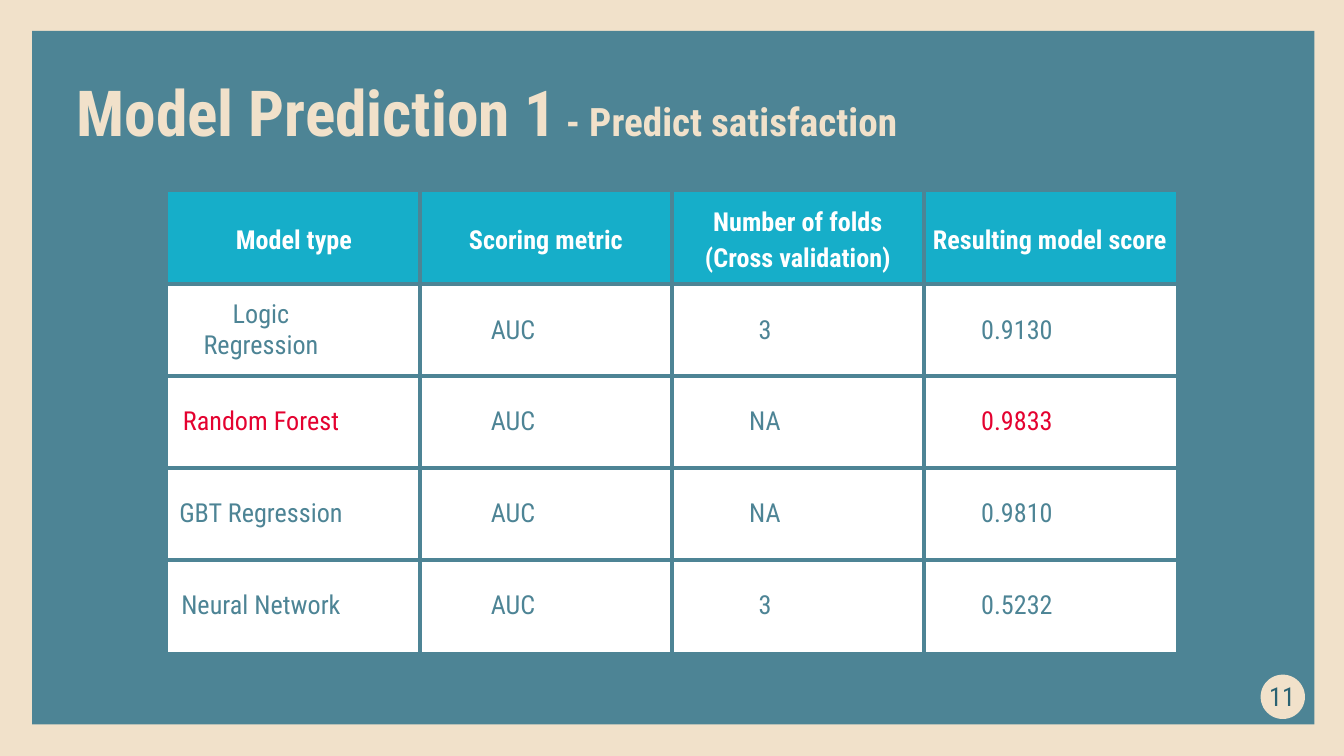
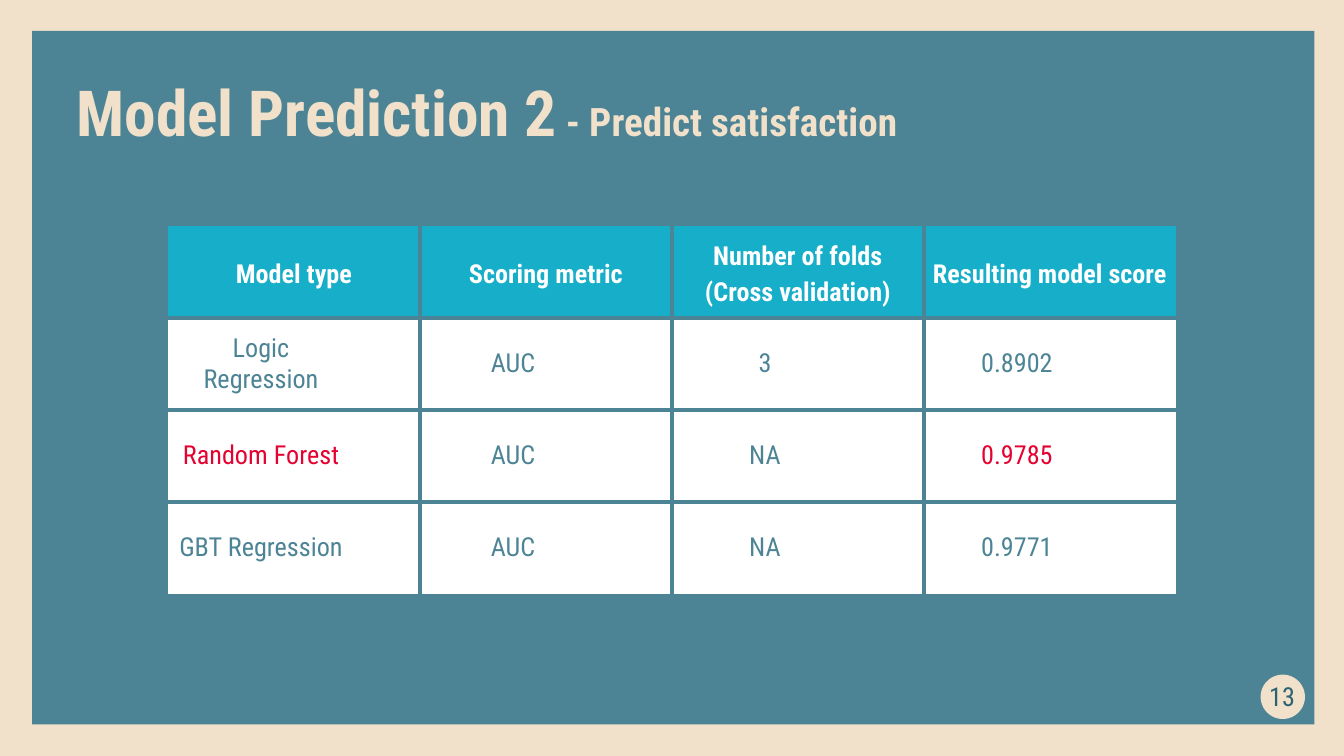
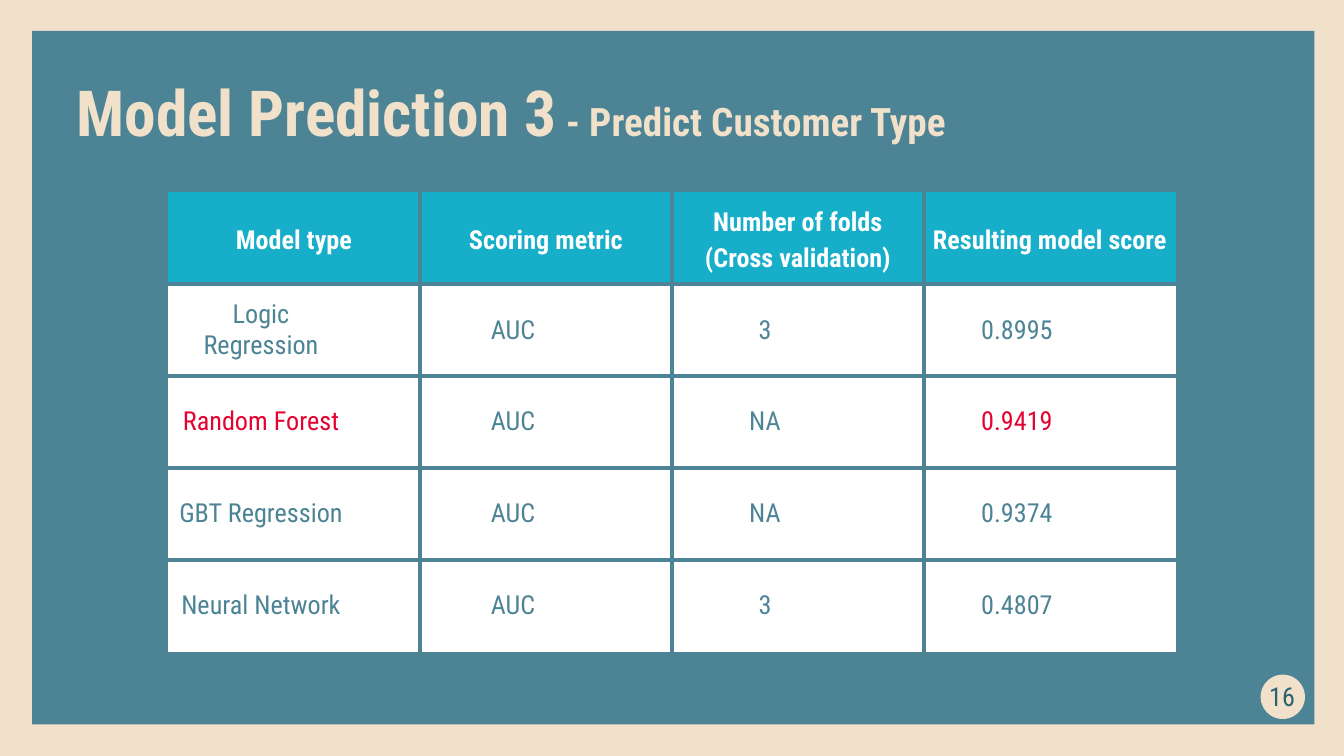
from lxml import etree
from pptx import Presentation
from pptx.dml.color import RGBColor
from pptx.enum.shapes import MSO_SHAPE
from pptx.enum.text import MSO_ANCHOR, MSO_AUTO_SIZE, PP_ALIGN
from pptx.oxml.ns import qn
from pptx.util import Inches, Pt

RECT, OVAL = MSO_SHAPE.RECTANGLE, MSO_SHAPE.OVAL
TOP, MIDDLE = MSO_ANCHOR.TOP, MSO_ANCHOR.MIDDLE
LEFT, CENTER = PP_ALIGN.LEFT, PP_ALIGN.CENTER
GROW = MSO_AUTO_SIZE.SHAPE_TO_FIT_TEXT

FONT = "Roboto Condensed"
HEX = {"sand": "F1E1CA", "teal": "4D8495", "deep": "2B6272",
       "cyan": "16AEC9", "white": "FFFFFF", "red": "E40230"}
RULE = 2.25
HEAD = ["Model type", "Scoring metric",
        "Number of folds (Cross validation)", "Resulting model score"]
# Each model with its number of folds
MODELS = [("Logic\nRegression", "3"), ("Random Forest", "NA"),
          ("GBT Regression", "NA"), ("Neural Network", "3")]
BEST = "Random Forest"

# Number, subtitle, page, title width, table top and height, scores
SLIDES = [
    (1, "Predict satisfaction", "11", 8.37, 1.43, 3.42,
     ["0.9130", "0.9833", "0.9810", "0.5232"]),
    (2, "Predict satisfaction", "13", 7.11, 1.68, 2.74,
     ["0.8902", "0.9785", "0.9771"]),
    (3, "Predict Customer Type", "16", 9.14, 1.43, 3.42,
     ["0.8995", "0.9419", "0.9374", "0.4807"]),
]


def color(name):
    return RGBColor.from_string(HEX[name])


def style(run, size, tint, bold=False):
    font = run.font
    font.name, font.size, font.bold = FONT, Pt(size), bold
    font.color.rgb = color(tint)


def inset(item, left, top, right, bottom):
    item.margin_left, item.margin_top = Inches(left), Inches(top)
    item.margin_right, item.margin_bottom = Inches(right), Inches(bottom)


def plain(slide, kind, box, tint):
    shape = slide.shapes.add_shape(kind, *map(Inches, box))
    shape.shadow.inherit = False
    shape.fill.solid()
    shape.fill.fore_color.rgb = color(tint)
    shape.line.fill.background()
    return shape


def base(layout, slide):
    """Give the layout its backdrop, panel and page badge."""
    layout.background.fill.solid()
    layout.background.fill.fore_color.rgb = color("sand")
    title, *rest = layout.placeholders
    for holder in rest:
        holder.element.getparent().remove(holder.element)
    panel = plain(slide, RECT, (0.24, 0.23, 9.54, 5.16), "teal")
    badge = plain(slide, OVAL, (9.38, 5.02, 0.33, 0.33), "sand")
    for shape in (panel, badge):
        title.element.addprevious(shape.element)


def heading(slide, box, main, sub):
    title = slide.shapes.title
    title.left, title.top, title.width, title.height = map(Inches, box)
    frame = title.text_frame
    frame.text = main
    frame.word_wrap, frame.auto_size = True, GROW
    frame.vertical_anchor = TOP
    inset(frame, 0, 0, 0, 0.03)
    para = frame.paragraphs[0]
    para.alignment = LEFT
    style(para.runs[0], 34, "sand", True)
    tail = para.add_run()
    tail.text = f" - {sub}"
    style(tail, 21, "sand", True)


def page(slide, box, number):
    frame = slide.shapes.add_textbox(*map(Inches, box)).text_frame
    frame.text = number
    frame.word_wrap, frame.vertical_anchor = True, MIDDLE
    inset(frame, 0.06, 0.03, 0.06, 0.03)
    para = frame.paragraphs[0]
    para.alignment = CENTER
    style(para.runs[0], 14, "deep")


def border(cell, inner):
    """Rule the inner sides of a cell and leave the outer ones bare."""
    props = cell._tc.get_or_add_tcPr()
    for side in ("L", "R", "T", "B"):
        line = etree.SubElement(props, qn(f"a:ln{side}"), w=str(Pt(RULE)))
        if side in inner:
            fill = etree.SubElement(line, qn("a:solidFill"))
            etree.SubElement(fill, qn("a:srgbClr"), val=HEX["teal"])
        else:
            etree.SubElement(line, qn("a:noFill"))


def grid(slide, box, scores):
    rows = [HEAD] + [[model, "AUC", folds, score]
                     for (model, folds), score in zip(MODELS, scores)]
    last, end = len(rows) - 1, len(HEAD) - 1
    table = slide.shapes.add_table(
        len(rows), len(HEAD), *map(Inches, box)).table
    table.horz_banding = False
    for r, row in enumerate(rows):
        for c, text in enumerate(row):
            cell = table.cell(r, c)
            sides = {"L": c > 0, "R": c < end, "T": r > 0, "B": r < last}
            border(cell, [side for side, on in sides.items() if on])
            cell.fill.solid()
            cell.fill.fore_color.rgb = color("white" if r else "cyan")
            cell.vertical_anchor = MIDDLE
            inset(cell, 0.06, 0.03, 0.55 if r else 0.06, 0.03)
            cell.text_frame.text = text
            best = row[0] == BEST and c in (0, end)
            tint = "red" if best else "teal" if r else "white"
            for para in cell.text_frame.paragraphs:
                para.alignment = CENTER
                if r == 0:
                    para.line_spacing = 1.17
                style(para.runs[0], 14, tint, r == 0)


deck = Presentation()
# Widescreen, 16 to 9
deck.slide_width = Inches(10)
deck.slide_height = Inches(10) * 9 // 16
layout = deck.slide_layouts[5]
for index, sub, number, width, top, height, scores in SLIDES:
    slide = deck.slides.add_slide(layout)
    if index == 1:
        base(layout, slide)
    heading(slide, (0.57, 0.54, width, 0.6), f"Model Prediction {index}", sub)
    page(slide, (9.3, 5.07, 0.48, 0.22), number)
    grid(slide, (1.25, top, 7.5, height), scores)
deck.save("out.pptx")
